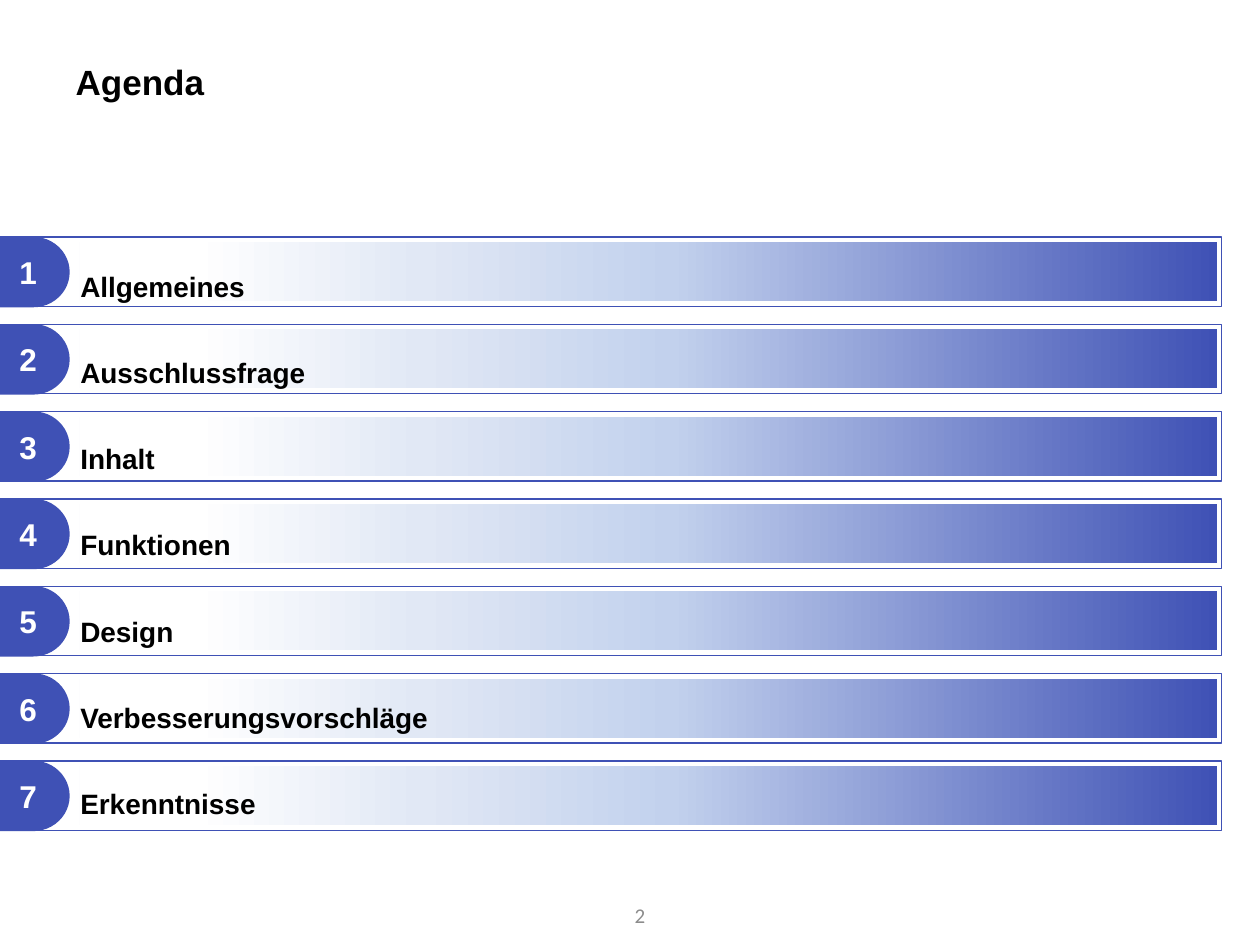
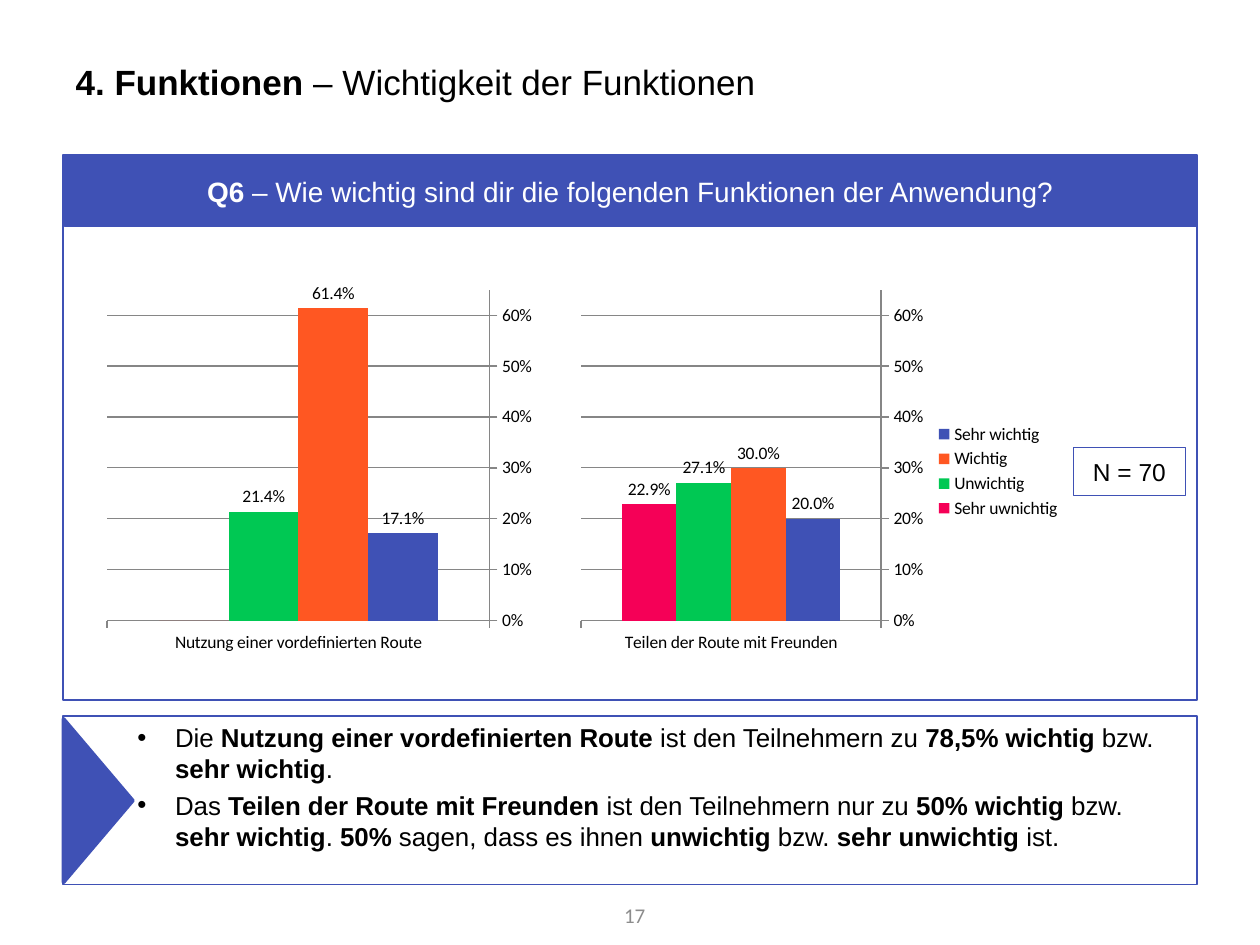
"""Build the agenda slide and the survey result slide on the importance of functions."""
from dataclasses import dataclass

import lxml.etree
import pptx
import pptx.chart.data
import pptx.dml.color
import pptx.enum.chart
import pptx.enum.shapes
import pptx.enum.text
import pptx.oxml.ns
import pptx.util

Cm = pptx.util.Cm
Pt = pptx.util.Pt
qn = pptx.oxml.ns.qn
Shape = pptx.enum.shapes.MSO_SHAPE
Align = pptx.enum.text.PP_ALIGN
Anchor = pptx.enum.text.MSO_ANCHOR

COLORS = {
    "indigo": "3F51B5", "orange": "FF5722", "green": "00C853", "pink": "F50057",
    "red": "C0504D", "black": "000000", "white": "FFFFFF", "gray": "8C8C8C",
    "grid": "868686", "sky": "C2D1ED", "mist": "E1E8F5",
}
BAR_GRADIENT = [(0, "indigo"), (48, "sky"), (70, "mist"), (90, "white")]
TOPICS = ["Allgemeines", "Ausschlussfrage", "Inhalt", "Funktionen", "Design",
          "Verbesserungsvorschläge", "Erkenntnisse"]
FINDINGS = [
    "Die *Nutzung einer vordefinierten Route* ist den Teilnehmern zu "
    "*78,5% wichtig* bzw. *sehr wichtig*.",
    "Das *Teilen der Route mit Freunden* ist den Teilnehmern nur zu "
    "*50% wichtig* bzw. *sehr wichtig*. *50%* sagen, dass es ihnen "
    "*unwichtig* bzw. *sehr unwichtig* ist.",
]
FIRST_BAR_TOP = 4.78
BAR_PITCH = 1.76


@dataclass
class Area:
    left: float
    top: float
    width: float
    height: float

    def lengths(self) -> tuple:
        return Cm(self.left), Cm(self.top), Cm(self.width), Cm(self.height)


@dataclass
class Answer:
    name: str
    share: float
    color: str


@dataclass
class AnswerChart:
    area: Area
    question: str
    answers: list[Answer]
    legend: bool


CHARTS = [
    AnswerChart(Area(1.98, 5.69, 8.92, 7.62), "Nutzung einer vordefinierten Route", [
        Answer("Series 1", 0.171, "indigo"),
        Answer("Series 2", 0.614, "orange"),
        Answer("Series 3", 0.214, "green"),
        Answer("Series 4", 0, "red"),
    ], legend=False),
    AnswerChart(Area(11.51, 5.69, 10.13, 7.62), "Teilen der Route mit Freunden", [
        Answer("Sehr wichtig", 0.2, "indigo"),
        Answer("Wichtig", 0.3, "orange"),
        Answer("Unwichtig", 0.271, "green"),
        Answer("Sehr uwnichtig", 0.229, "pink"),
    ], legend=True),
]


def rgb(name: str) -> pptx.dml.color.RGBColor:
    return pptx.dml.color.RGBColor.from_string(COLORS[name])


def write_text(box, text: str, *, size: float, color: str = "black", font: str = "Arial",
               bold: bool = False, align=Align.LEFT, anchor=Anchor.MIDDLE,
               line_spacing: float | None = None, gap: float = 0, bullet: bool = False) -> None:
    """Write one paragraph per line of text; asterisks switch bold on and off."""
    frame = box.text_frame
    frame.word_wrap = True
    frame.auto_size = pptx.enum.text.MSO_AUTO_SIZE.NONE
    frame.vertical_anchor = anchor
    for index, line in enumerate(text.split("\n")):
        para = frame.add_paragraph() if index else frame.paragraphs[0]
        if bullet:
            properties = para._p.get_or_add_pPr()
            properties.set("marL", str(Cm(2.01)))
            properties.set("indent", str(-Cm(0.76)))
            lxml.etree.SubElement(properties, qn("a:buFont")).set("typeface", "Arial")
            lxml.etree.SubElement(properties, qn("a:buChar")).set("char", "•")
        para.alignment = align
        if line_spacing:
            para.line_spacing = line_spacing
        para.space_before = Pt(gap if index else 0)
        for position, part in enumerate(line.split("*")):
            if not part:
                continue
            span = para.add_run()
            span.text = part
            span.font.name = font
            span.font.size = Pt(size)
            span.font.bold = bold or position % 2 == 1
            span.font.color.rgb = rgb(color)


def add_box(shapes, kind, area: Area, fill: str | None = None, line: float | None = None):
    box = shapes.add_shape(kind, *area.lengths())
    box.shadow.inherit = False
    if fill:
        box.fill.solid()
        box.fill.fore_color.rgb = rgb(fill)
    else:
        box.fill.background()
    if line:
        box.line.color.rgb = rgb("indigo")
        box.line.width = Pt(line)
    else:
        box.line.fill.background()
    return box


def apply_bar_gradient(box) -> None:
    box.fill.gradient()
    box.fill.gradient_angle = 180
    stops = box._element.spPr.find(qn("a:gradFill")).find(qn("a:gsLst"))
    for stop in list(stops):
        stops.remove(stop)
    for percent, color in BAR_GRADIENT:
        stop = lxml.etree.SubElement(stops, qn("a:gs"))
        stop.set("pos", str(percent * 1000))
        lxml.etree.SubElement(stop, qn("a:srgbClr")).set("val", COLORS[color])


def add_page(deck, title: str, number: int):
    page = deck.slides.add_slide(deck.slide_layouts[5])
    heading = page.shapes.title
    heading.left, heading.top, heading.width, heading.height = Area(1.27, 0.76, 22.86, 1.75).lengths()
    write_text(heading, title, size=20)
    footer = page.shapes.add_textbox(*Area(11.66, 17.93, 1.6, 1.02).lengths())
    write_text(footer, str(number), size=12, color="gray", font="Calibri", align=Align.RIGHT)
    return page


def add_topic_bar(page, number: int) -> None:
    top = FIRST_BAR_TOP + (number - 1) * BAR_PITCH
    shapes = page.shapes.add_group_shape().shapes
    apply_bar_gradient(add_box(shapes, Shape.RECTANGLE, Area(1.6, top + 0.1, 22.94, 1.19)))
    badge = add_box(shapes, Shape.FLOWCHART_DELAY, Area(-0.03, top + 0.03, 1.4, 1.35), "indigo", 2)
    write_text(badge, str(number), size=18, color="white", bold=True, align=Align.CENTER)
    add_box(shapes, Shape.RECTANGLE, Area(-0.06, top, 24.69, 1.4), line=0.75)


def add_answer_chart(page, survey: AnswerChart) -> None:
    data = pptx.chart.data.CategoryChartData()
    data.categories = [survey.question]
    for answer in survey.answers:
        data.add_series(answer.name, [answer.share])
    chart = page.shapes.add_chart(pptx.enum.chart.XL_CHART_TYPE.COLUMN_CLUSTERED,
                                  *survey.area.lengths(), data).chart
    chart.has_title = False
    chart.font.name = "Calibri"
    chart.font.size = Pt(10)
    chart.font.color.rgb = rgb("black")
    chart.has_legend = survey.legend
    if survey.legend:
        chart.legend.position = pptx.enum.chart.XL_LEGEND_POSITION.RIGHT
        chart.legend.include_in_layout = False

    values = chart.value_axis
    values.minimum_scale, values.maximum_scale, values.major_unit = 0, 0.65, 0.1
    values.tick_labels.number_format = "0%"
    values.tick_labels.number_format_is_linked = False
    values.has_major_gridlines = True
    chart.category_axis.reverse_order = True
    for axis in (values, chart.category_axis):
        axis.major_tick_mark = pptx.enum.chart.XL_TICK_MARK.OUTSIDE
    for line in (values.format.line, values.major_gridlines.format.line,
                 chart.category_axis.format.line):
        line.color.rgb = rgb("grid")
        line.width = Pt(0.75)

    plot = chart.plots[0]
    plot.gap_width = 150
    plot.overlap = 0
    plot.vary_by_categories = False
    for series, answer in zip(plot.series, survey.answers):
        series.format.fill.solid()
        series.format.fill.fore_color.rgb = rgb(answer.color)
        if answer.share:
            labels = series.data_labels
            labels.show_value = True
            labels.number_format = "0.0%"
            labels.number_format_is_linked = False
            labels.position = pptx.enum.chart.XL_LABEL_POSITION.OUTSIDE_END


def build_agenda(deck) -> None:
    page = add_page(deck, "*Agenda*", 2)
    for number in range(1, len(TOPICS) + 1):
        add_topic_bar(page, number)
    labels = page.shapes.add_textbox(*Area(1.37, 4.36, 21.87, 12.5).lengths())
    write_text(labels, "\n".join(TOPICS), size=16, bold=True, anchor=Anchor.TOP,
               line_spacing=2.4, gap=3.2)


def build_functions(deck) -> None:
    page = add_page(deck, "*4. Funktionen* – Wichtigkeit der Funktionen", 17)
    shapes = page.shapes
    findings = add_box(shapes, Shape.RECTANGLE, Area(1.27, 14.43, 22.86, 3.4), line=1)
    write_text(findings, "\n".join(FINDINGS), size=14.8, anchor=Anchor.TOP, gap=3, bullet=True)
    pointer = add_box(shapes, Shape.ISOSCELES_TRIANGLE, Area(0.33, 15.44, 3.3, 1.4), "indigo", 2)
    pointer.rotation = 90
    add_box(shapes, Shape.RECTANGLE, Area(1.27, 3.12, 22.86, 11), line=1)
    question = add_box(shapes, Shape.RECTANGLE, Area(1.3, 3.15, 22.81, 1.4), "indigo", 2)
    write_text(question, "*Q6* – Wie wichtig sind dir die folgenden Funktionen der Anwendung?",
               size=16, color="white", align=Align.CENTER)
    sample = add_box(shapes, Shape.RECTANGLE, Area(21.64, 9.02, 2.26, 0.97), line=1)
    write_text(sample, "N = 70", size=14, align=Align.CENTER)
    for answer_chart in CHARTS:
        add_answer_chart(page, answer_chart)


def main() -> None:
    deck = pptx.Presentation()
    deck.slide_width, deck.slide_height = Cm(25.4), Cm(19.05)
    build_agenda(deck)
    build_functions(deck)
    deck.save("out.pptx")


if __name__ == "__main__":
    main()
